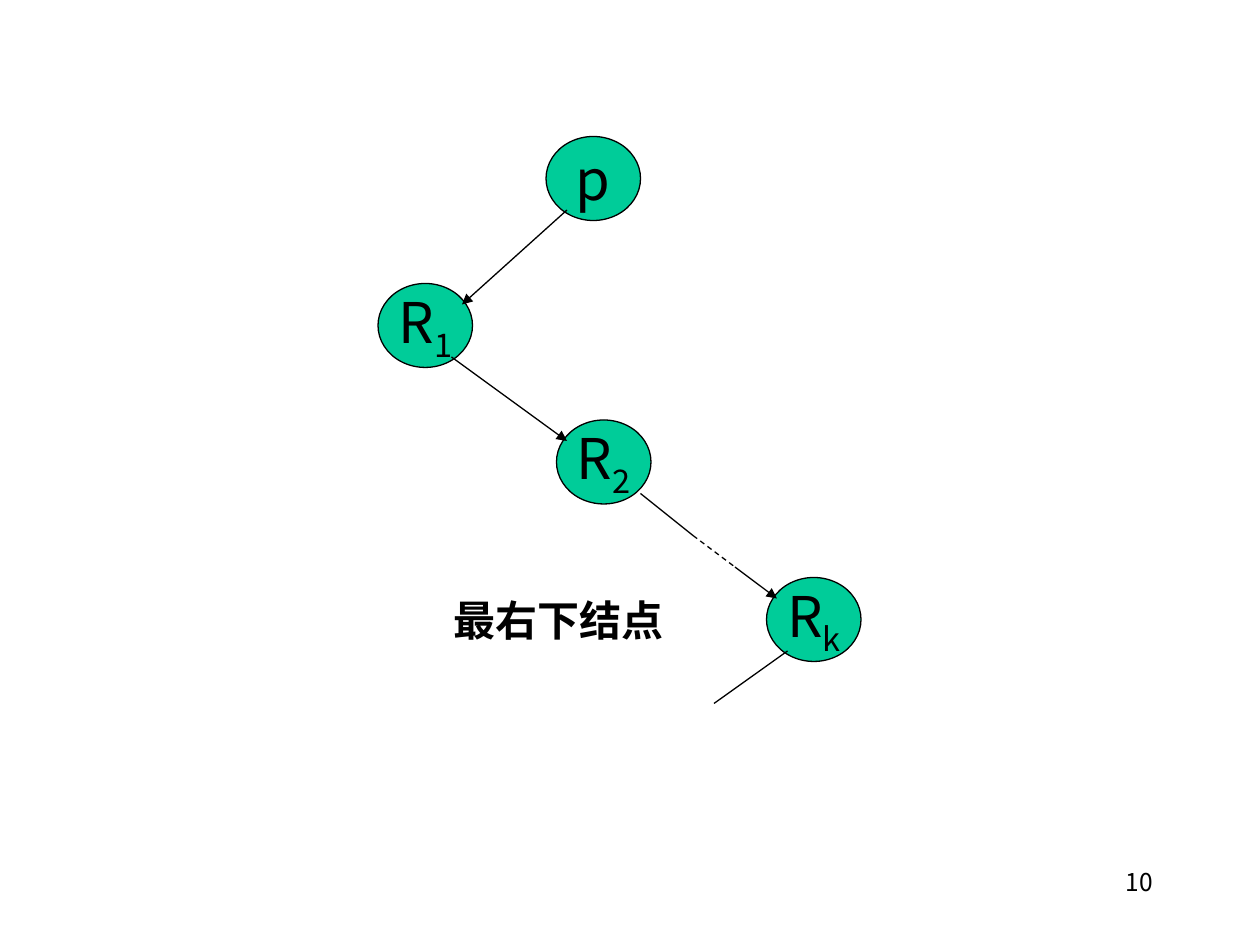
"""Builds a slide that follows right children down to the rightmost node of a binary tree."""
import pptx
import pptx.dml.color
import pptx.enum.dml
import pptx.enum.shapes
import pptx.enum.text
import pptx.oxml.ns
import pptx.util
from dataclasses import dataclass
from lxml import etree
from pptx.util import Pt


@dataclass(frozen=True)
class Theme:
    font: str = "Noto Sans CJK JP"
    ink: pptx.dml.color.RGBColor = pptx.dml.color.RGBColor(0, 0, 0)
    node: pptx.dml.color.RGBColor = pptx.dml.color.RGBColor(0x00, 0xCC, 0x99)
    node_size: int = 32
    label_size: int = 24
    number_size: int = 14
    line_width: float = 0.75


theme = Theme()
qn = pptx.oxml.ns.qn
align = pptx.enum.text.PP_ALIGN


def write_text(shape, text, size, subscript="", bold=False, alignment=align.LEFT, wrap=True,
               anchor=pptx.enum.text.MSO_ANCHOR.TOP):
    frame = shape.text_frame
    frame.word_wrap = wrap
    frame.vertical_anchor = anchor
    paragraph = frame.paragraphs[0]
    paragraph.alignment = alignment
    for part, baseline in ((text, 0), (subscript, -25000)):
        if not part:
            continue
        run = paragraph.add_run()
        run.text = part
        run.font.size = Pt(size)
        run.font.bold = bold
        run.font.name = theme.font
        run.font.color.rgb = theme.ink
        properties = run._r.get_or_add_rPr()
        etree.SubElement(properties, qn("a:ea")).set("typeface", theme.font)
        if baseline:
            properties.set("baseline", str(baseline))


presentation = pptx.Presentation()
presentation.slide_width = Pt(720)
presentation.slide_height = Pt(540)
slide = presentation.slides.add_slide(presentation.slide_layouts[6])

nodes = [
    ("p", "", 312, 78),
    ("R", "1", 216, 162),
    ("R", "2", 318, 240),
    ("R", "k", 438, 330),
]
for name, index, left, top in nodes:
    node = slide.shapes.add_shape(pptx.enum.shapes.MSO_SHAPE.OVAL, Pt(left), Pt(top), Pt(54), Pt(48))
    node.shadow.inherit = False
    node.fill.solid()
    node.fill.fore_color.rgb = theme.node
    node.line.color.rgb = theme.ink
    node.line.width = Pt(theme.line_width)
    write_text(node, name, theme.node_size, subscript=index, alignment=align.CENTER,
               wrap=False, anchor=pptx.enum.text.MSO_ANCHOR.MIDDLE)

edges = [
    ((324, 120), (264, 174), "arrow"),
    ((258, 204), (324, 252), "arrow"),
    ((366, 282), (396, 306), "plain"),
    ((396, 306), (420, 324), "dashed"),
    ((420, 324), (444, 342), "arrow"),
    ((450, 372), (408, 402), "plain"),
]
for start, end, style in edges:
    edge = slide.shapes.add_connector(pptx.enum.shapes.MSO_CONNECTOR.STRAIGHT, *map(Pt, start + end))
    edge.line.color.rgb = theme.ink
    edge.line.width = Pt(theme.line_width)
    if style == "dashed":
        edge.line.dash_style = pptx.enum.dml.MSO_LINE.DASH
    if style == "arrow":
        etree.SubElement(edge.line._get_or_add_ln(), qn("a:tailEnd")).set("type", "triangle")
    etree.SubElement(edge._element.spPr, qn("a:effectLst"))

label = slide.shapes.add_textbox(Pt(252), Pt(336), Pt(162), Pt(36))
write_text(label, "最右下结点", theme.label_size, bold=True)

page_number = slide.shapes.add_textbox(Pt(516), Pt(492), Pt(150), Pt(36))
write_text(page_number, "10", theme.number_size, alignment=align.RIGHT)

presentation.save("out.pptx")
